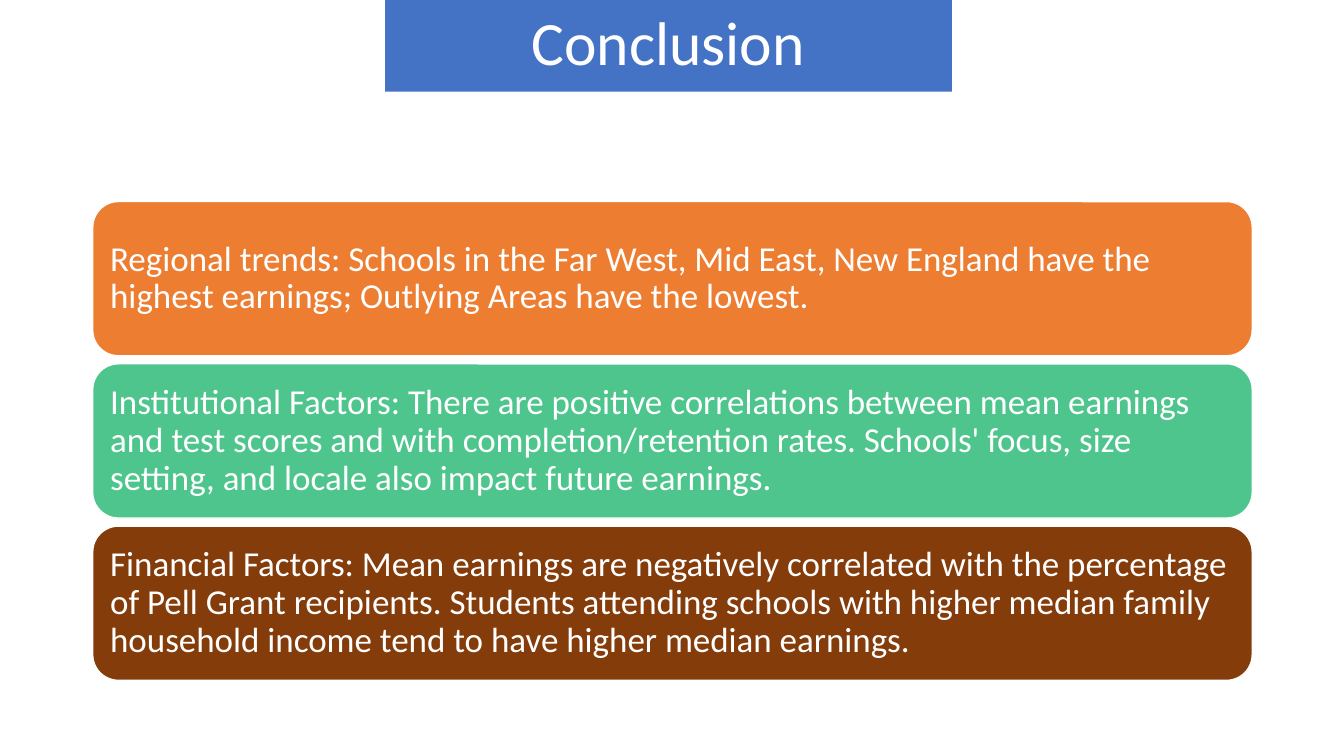
from pptx import Presentation
from pptx.dml.color import RGBColor
from pptx.enum.shapes import MSO_SHAPE
from pptx.enum.text import MSO_ANCHOR, PP_ALIGN
from pptx.util import Inches, Pt

WHITE = RGBColor(0xFF, 0xFF, 0xFF)
BLUE = RGBColor(0x44, 0x72, 0xC4)
ORANGE = RGBColor(0xED, 0x7D, 0x31)
GREEN = RGBColor(0x4D, 0xC5, 0x8D)
BROWN = RGBColor(0x84, 0x3C, 0x0B)

POINTS = [
    (ORANGE, "Regional trends: Schools in the Far West, Mid East, New England "
     "have the highest earnings; Outlying Areas have the lowest."),
    (GREEN, "Institutional Factors: There are positive correlations between "
     "mean earnings and test scores and with completion/retention rates. "
     "Schools' focus, size setting, and locale also impact future earnings."),
    (BROWN, "Financial Factors: Mean earnings are negatively correlated with "
     "the percentage of Pell Grant recipients. Students attending schools "
     "with higher median family household income tend to have higher median "
     "earnings."),
]


def apply(item, values):
    for name, value in values.items():
        setattr(item, name, value)


class Deck:
    """Holds the shared style and the current slide."""

    font = {"name": "Calibri"}
    frame = {"word_wrap": True, "vertical_anchor": MSO_ANCHOR.MIDDLE,
             "margin_left": Inches(0.1), "margin_right": Inches(0.1)}

    def __init__(self, show):
        self.slide = show.slides.add_slide(show.slide_layouts[6])

    def block(self, kind, box, fill, text, size, align):
        shape = self.slide.shapes.add_shape(kind, *map(Inches, box))
        shape.shadow.inherit = False
        shape.fill.solid()
        shape.fill.fore_color.rgb = fill
        shape.line.fill.background()
        apply(shape.text_frame, self.frame)
        para = shape.text_frame.paragraphs[0]
        apply(para, {"text": text, "alignment": align, "line_spacing": 0.9})
        apply(para.font, {**self.font, "size": Pt(size)})
        para.font.color.rgb = WHITE
        return shape

    def title(self, text, box):
        self.block(MSO_SHAPE.RECTANGLE, box, BLUE, text, 44, PP_ALIGN.CENTER)

    def card(self, text, box, fill):
        shape = self.block(MSO_SHAPE.ROUNDED_RECTANGLE, box, fill, text, 25,
                           PP_ALIGN.LEFT)
        shape.line.color.rgb = WHITE
        shape.line.width = Pt(1)


def main():
    show = Presentation()
    apply(show, {"slide_width": Inches(13.33), "slide_height": Inches(7.5)})
    deck = Deck(show)

    # Title banner
    deck.title("Conclusion", (3.82, 0, 5.62, 0.91))

    # Stacked cards, evenly spaced
    top, step = 2, 1.61
    for row, (fill, text) in enumerate(POINTS):
        deck.card(text, (0.92, top + row * step, 11.5, 1.53), fill)

    show.save("out.pptx")


if __name__ == "__main__":
    main()
